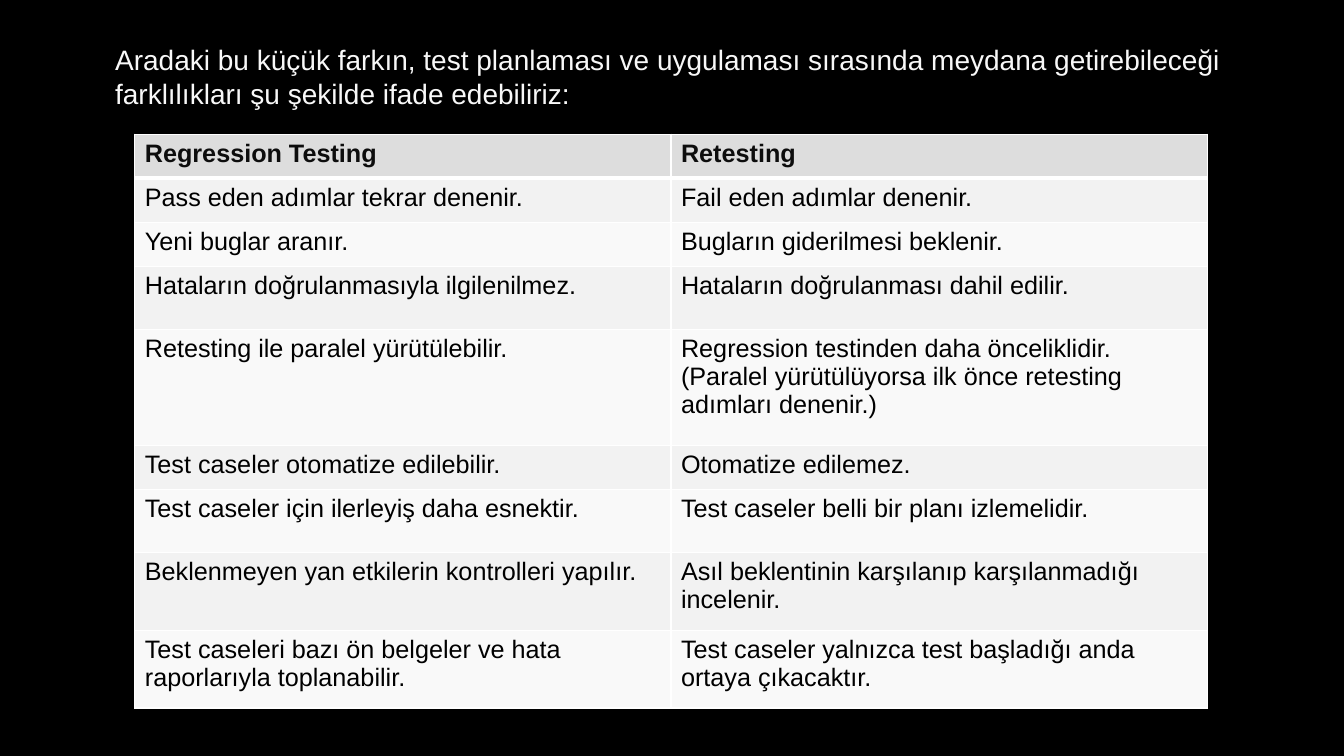
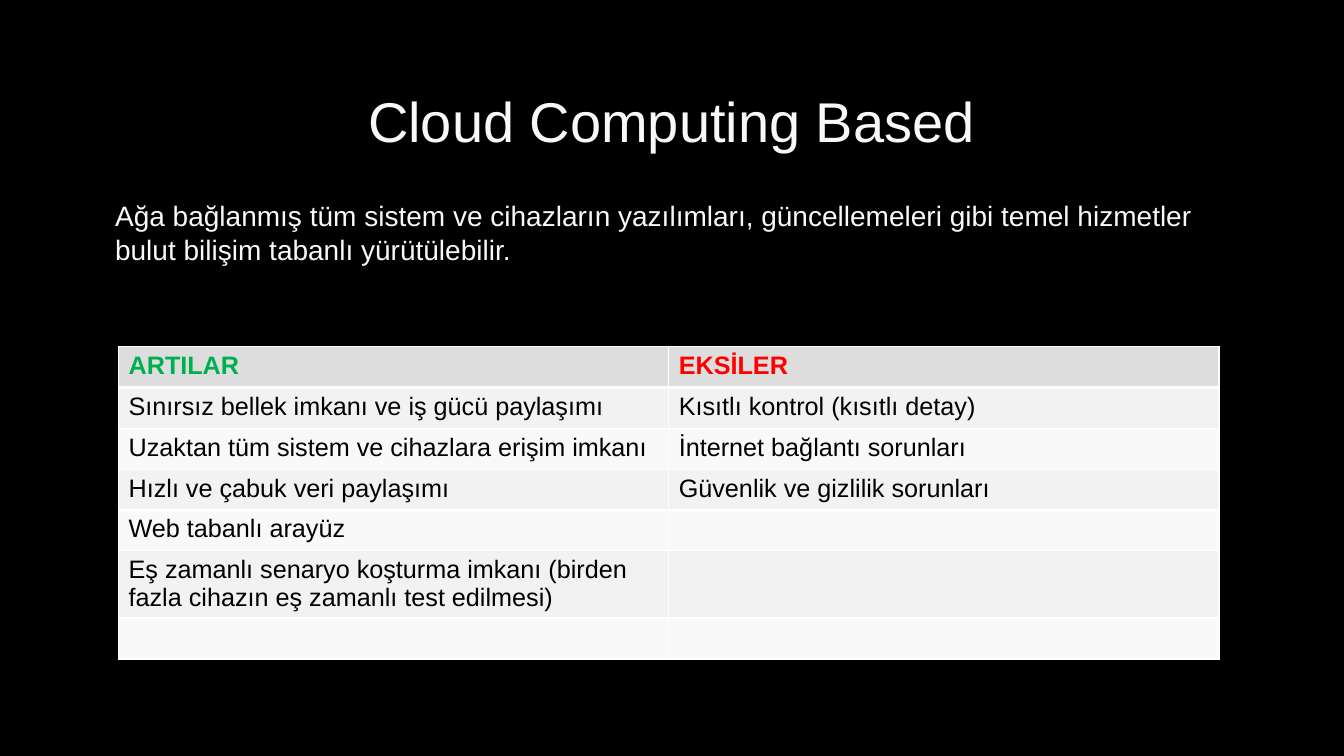
from lxml import etree
from pptx import Presentation
from pptx import util as u
from pptx.dml.color import RGBColor
from pptx.enum import text
from pptx.oxml import ns

Pt = u.Pt
FONT = "Arial"
BLACK = RGBColor(0x00, 0x00, 0x00)
LIGHT = RGBColor(0xF8, 0xF8, 0xF8)
INK = RGBColor(0x0D, 0x0D, 0x0D)
GREEN = RGBColor(0x00, 0xB0, 0x50)
RED = RGBColor(0xFF, 0x00, 0x00)
HEADER_FILL = RGBColor(0xDD, 0xDD, 0xDD)
ROW_FILLS = [RGBColor(0xF9, 0xF9, 0xF9), RGBColor(0xF2, 0xF2, 0xF2)]
TEXT_LEFT, TEXT_WIDTH = 72, 815

# Contents of the slides
slides = [
    dict(
        title=None,
        intro="Aradaki bu küçük farkın, test planlaması ve uygulaması sırasında "
              "meydana getirebileceği farklılıkları şu şekilde ifade edebiliriz:",
        intro_top=24.5, intro_height=391,
        table_left=96.3, table_top=95.8, column_width=383,
        heights=[31.5, 31.5, 31.5, 45, 83, 31.5, 45, 55.5, 55.5],
        header_colors=[INK, INK],
        rows=[
            ("Regression Testing", "Retesting"),
            ("Pass eden adımlar tekrar denenir.", "Fail eden adımlar denenir."),
            ("Yeni buglar aranır.", "Bugların giderilmesi beklenir."),
            ("Hataların doğrulanmasıyla ilgilenilmez.",
             "Hataların doğrulanması dahil edilir."),
            ("Retesting ile paralel yürütülebilir.",
             "Regression testinden daha önceliklidir. (Paralel yürütülüyorsa "
             "ilk önce retesting adımları denenir.)"),
            ("Test caseler otomatize edilebilir.", "Otomatize edilemez."),
            ("Test caseler için ilerleyiş daha esnektir.",
             "Test caseler belli bir planı izlemelidir."),
            ("Beklenmeyen yan etkilerin kontrolleri yapılır.",
             "Asıl beklentinin karşılanıp karşılanmadığı incelenir."),
            ("Test caseleri bazı ön belgeler ve hata raporlarıyla toplanabilir.",
             "Test caseler yalnızca test başladığı anda ortaya çıkacaktır."),
        ],
    ),
    dict(
        title="Cloud Computing Based",
        intro="Ağa bağlanmış tüm sistem ve cihazların yazılımları, güncellemeleri "
              "gibi temel hizmetler bulut bilişim tabanlı yürütülebilir.",
        intro_top=136, intro_height=76,
        table_left=84.7, table_top=247.5, column_width=393,
        heights=[29.2] * 5 + [48, 29.2],
        header_colors=[GREEN, RED],
        rows=[
            ("ARTILAR", "EKSİLER"),
            ("Sınırsız bellek imkanı ve iş gücü paylaşımı",
             "Kısıtlı kontrol (kısıtlı detay)"),
            ("Uzaktan tüm sistem ve cihazlara erişim imkanı",
             "İnternet bağlantı sorunları"),
            ("Hızlı ve çabuk veri paylaşımı", "Güvenlik ve gizlilik sorunları"),
            ("Web tabanlı arayüz", ""),
            ("Eş zamanlı senaryo koşturma imkanı (birden fazla cihazın "
             "eş zamanlı test edilmesi)", ""),
            ("", ""),
        ],
    ),
]


def format_runs(paragraph, size, color, bold=False):
    for run in paragraph.runs:
        run.font.name = FONT
        run.font.size = Pt(size)
        run.font.color.rgb = color
        run.font.bold = bold


def add_borders(cell, top, bottom):
    properties = cell._tc.get_or_add_tcPr()
    for side, width in (("L", 1), ("R", 1), ("T", top), ("B", bottom)):
        line = etree.SubElement(properties, ns.qn("a:ln" + side), w=str(Pt(width)))
        fill = etree.SubElement(line, ns.qn("a:solidFill"))
        etree.SubElement(fill, ns.qn("a:srgbClr"), val="FFFFFF")


prs = Presentation()
prs.slide_width, prs.slide_height = Pt(960), Pt(540)
background = prs.slide_master.background.fill
background.solid()
background.fore_color.rgb = BLACK

for content in slides:
    slide = prs.slides.add_slide(prs.slide_layouts[1])

    # Title
    title = slide.shapes.title
    if content["title"]:
        title.left, title.top = Pt(TEXT_LEFT), Pt(48)
        title.width, title.height = Pt(TEXT_WIDTH), Pt(76)
        title.text_frame.text = content["title"]
        title.text_frame.vertical_anchor = text.MSO_ANCHOR.MIDDLE
        heading = title.text_frame.paragraphs[0]
        heading.alignment = text.PP_ALIGN.CENTER
        format_runs(heading, 40, LIGHT)
    else:
        title.element.getparent().remove(title.element)

    # Introduction
    intro = slide.placeholders[1]
    intro.left, intro.top = Pt(TEXT_LEFT), Pt(content["intro_top"])
    intro.width, intro.height = Pt(TEXT_WIDTH), Pt(content["intro_height"])
    intro.text_frame.text = content["intro"]
    intro.text_frame.margin_top = Pt(6)
    sentence = intro.text_frame.paragraphs[0]
    indents = sentence._p.get_or_add_pPr()
    indents.set("marL", str(Pt(3)))
    indents.set("indent", "0")
    etree.SubElement(indents, ns.qn("a:buNone"))
    sentence.space_before, sentence.space_after = Pt(0), Pt(6)
    format_runs(sentence, 20, LIGHT)

    # Comparison table
    rows, heights = content["rows"], content["heights"]
    comparison = slide.shapes.add_table(
        len(rows), 2, Pt(content["table_left"]), Pt(content["table_top"]),
        Pt(2 * content["column_width"]), Pt(sum(heights))).table
    for column in comparison.columns:
        column.width = Pt(content["column_width"])
    for r, (row, height) in enumerate(zip(rows, heights)):
        comparison.rows[r].height = Pt(height)
        header = r == 0
        for c, wording in enumerate(row):
            cell = comparison.cell(r, c)
            add_borders(cell, top=3 if r == 1 else 1, bottom=3 if header else 1)
            cell.fill.solid()
            cell.fill.fore_color.rgb = HEADER_FILL if header else ROW_FILLS[r % 2]
            if wording:
                cell.text_frame.text = wording
                color = content["header_colors"][c] if header else BLACK
                format_runs(cell.text_frame.paragraphs[0], 18, color, header)

prs.save("out.pptx")
